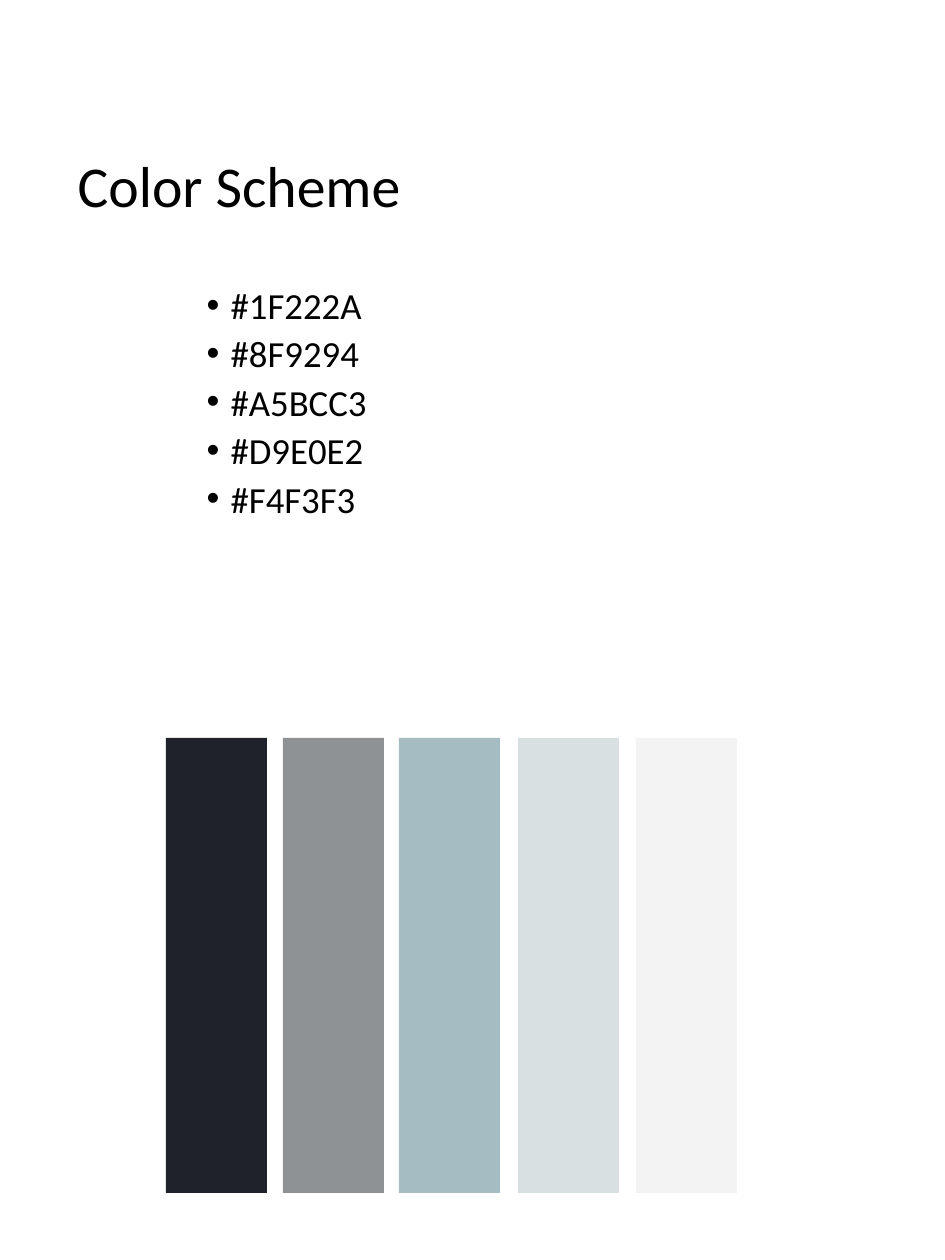
from pptx import Presentation
from pptx.dml.color import RGBColor
from pptx.enum.shapes import MSO_SHAPE as Shape
from pptx.enum.text import MSO_ANCHOR as Anchor, MSO_AUTO_SIZE as AutoSize, PP_ALIGN as Align
from pptx.oxml.ns import qn
from pptx.util import Emu, Pt
from lxml.etree import SubElement

EMU_PER_PX = 914400 // 126
COLORS = {
    "text": "000000",
    "ink": "1F222A",
    "gray": "8F9294",
    "blue": "A5BCC3",
    "mist": "D9E0E2",
    "paper": "F4F3F3",
}
SWATCH_LEFTS = {"ink": 166, "gray": 283, "blue": 399, "mist": 518, "paper": 636}
SWATCH_TOP, SWATCH_WIDTH, SWATCH_HEIGHT = 738, 101, 455
BULLET_INDENT = 24


def px(length):
    return Emu(length * EMU_PER_PX)


def color(name):
    return RGBColor.from_string(COLORS[name])


def place(shape, left, top, width, height):
    shape.left, shape.top = px(left), px(top)
    shape.width, shape.height = px(width), px(height)


def add_bullet(paragraph):
    properties = paragraph._p.get_or_add_pPr()
    properties.set("marL", str(px(BULLET_INDENT)))
    properties.set("indent", str(-px(BULLET_INDENT)))
    SubElement(properties, qn("a:buFont")).set("typeface", "Arial")
    SubElement(properties, qn("a:buChar")).set("char", "•")


def write_text(shape, lines, size, line_spacing, space_before=0,
               anchor=Anchor.TOP, bullets=False):
    """Fill the shape with one paragraph per line."""
    frame = shape.text_frame
    frame.text = "\n".join(lines)
    frame.word_wrap = True
    frame.auto_size = AutoSize.NONE
    frame.vertical_anchor = anchor
    for paragraph in frame.paragraphs:
        paragraph.alignment = Align.LEFT
        paragraph.line_spacing = line_spacing
        paragraph.space_before = Pt(space_before)
        if bullets:
            add_bullet(paragraph)
        for run in paragraph.runs:
            run.font.name = "Calibri"
            run.font.size = Pt(size)
            run.font.color.rgb = color("text")


def add_swatch(slide, name, left):
    swatch = slide.shapes.add_shape(
        Shape.RECTANGLE, px(left), px(SWATCH_TOP), px(SWATCH_WIDTH), px(SWATCH_HEIGHT))
    swatch.shadow.inherit = False
    swatch.fill.solid()
    swatch.fill.fore_color.rgb = color(name)
    swatch.line.fill.background()


def main():
    presentation = Presentation()
    presentation.slide_width, presentation.slide_height = px(945), px(1260)
    slide = presentation.slides.add_slide(presentation.slide_layouts[1])

    title, body = slide.shapes.title, slide.placeholders[1]
    place(title, 65, 67, 815, 243)
    write_text(title, ["Color Scheme"], size=33, line_spacing=0.9, anchor=Anchor.MIDDLE)
    place(body, 194, 285, 205, 261)
    write_text(body, [f"#{COLORS[name]}" for name in SWATCH_LEFTS], size=21,
               line_spacing=0.8, space_before=7.5, bullets=True)

    for name, left in SWATCH_LEFTS.items():
        add_swatch(slide, name, left)

    presentation.save("out.pptx")


if __name__ == "__main__":
    main()
